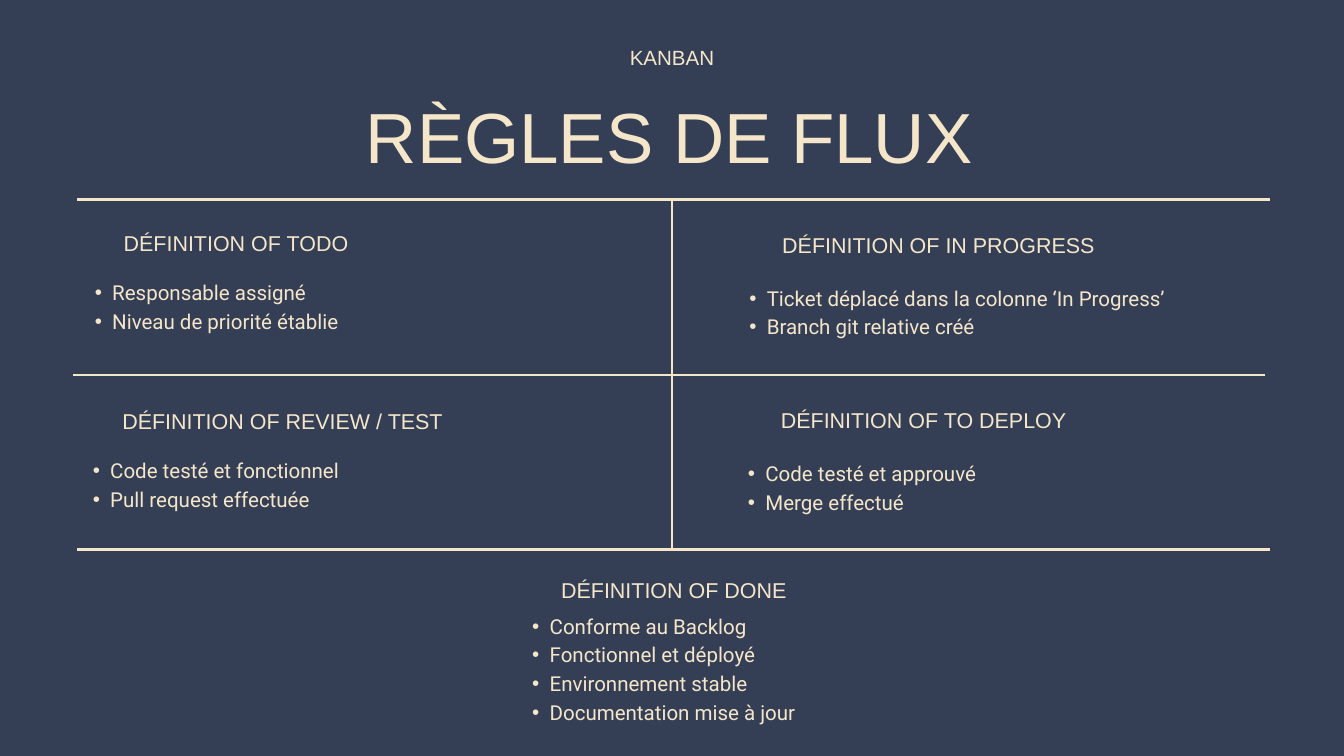
from lxml import etree
from pptx import Presentation
from pptx import util as u
from pptx.dml.color import RGBColor
from pptx.enum import shapes, text
from pptx.oxml import ns

NAVY, CREAM = "343F56", "F5E6CA"

# Heading, its left and top, list left and top, list items
RULES = [
    ("DÉFINITION OF TODO", 1.84, 3.36, 1.15, 4.11,
     ["Responsable assigné", "Niveau de priorité établie"]),
    ("DÉFINITION OF IN PROGRESS", 11.64, 3.39, 10.89, 4.19,
     ["Ticket déplacé dans la colonne ‘In Progress’",
      "Branch git relative créé"]),
    ("DÉFINITION OF REVIEW / TEST", 1.82, 6.01, 1.12, 6.76,
     ["Code testé et fonctionnel", "Pull request effectuée"]),
    ("DÉFINITION OF TO DEPLOY", 11.62, 6, 10.87, 6.8,
     ["Code testé et approuvé", "Merge effectué"]),
    ("DÉFINITION OF DONE", 8.35, 8.53, 7.66, 9.07,
     ["Conforme au Backlog", "Fonctionnel et déployé",
      "Environnement stable", "Documentation mise à jour"]),
]

# Grid lines: start x, y, end x, y
LINES = [
    (1.15, 2.97, 18.9, 2.97),
    (1.08, 5.58, 18.83, 5.58),
    (1.15, 8.18, 18.9, 8.18),
    (10, 2.97, 10, 5.6),
    (10, 5.56, 10, 8.2),
]


def color(code):
    return RGBColor.from_string(code)


def add_box(slide):
    return slide.shapes.add_textbox(0, 0, 0, 0)


def place(box, left, top, width, height):
    box.left, box.top = u.Inches(left), u.Inches(top)
    box.width, box.height = u.Inches(width), u.Inches(height)


def add_bullet(para):
    para.level = 1
    props = para._p.get_or_add_pPr()
    props.set("marL", str(u.Inches(0.52)))
    props.set("indent", str(u.Inches(-0.26)))
    etree.SubElement(props, ns.qn("a:buFont")).set("typeface", "Arial")
    etree.SubElement(props, ns.qn("a:buChar")).set("char", "•")


def write(box, lines, size, face="Arial", align=text.PP_ALIGN.LEFT,
          bullet=False):
    frame = box.text_frame
    frame.text = "\n".join(lines)
    frame.word_wrap = True
    frame.auto_size = text.MSO_AUTO_SIZE.NONE
    frame.vertical_anchor = text.MSO_ANCHOR.TOP
    frame.margin_left = frame.margin_right = 0
    frame.margin_top = frame.margin_bottom = 0
    for para in frame.paragraphs:
        if bullet:
            add_bullet(para)
        para.alignment = align
        para.line_spacing = u.Pt(size * 1.4)
        para.space_before = u.Pt(0)
        for run in para.runs:
            font = run.font
            font.name, font.size, font.bold = face, u.Pt(size), False
            font.color.rgb = color(CREAM)


def add_line(slide, *ends):
    line = slide.shapes.add_connector(
        shapes.MSO_CONNECTOR.STRAIGHT, *[u.Inches(end) for end in ends])
    line.line.color.rgb = color(CREAM)
    line.line.width = u.Pt(3)
    etree.SubElement(line._element.spPr, ns.qn("a:effectLst"))


def add_rule(slide, body, head, left, top, x, y, items):
    box = add_box(slide)
    place(box, left, top, 7.23, 0.46)
    write(box, [head], 23)
    place(body, x, y, 7.98, 0.425 * len(items))
    write(body, items, 22, "Roboto", bullet=True)


def main():
    prs = Presentation()
    prs.slide_width, prs.slide_height = u.Inches(20), u.Inches(11.25)
    # The comparison layout has a title and four bodies
    slide = prs.slides.add_slide(prs.slide_layouts[4])
    slide.background.fill.solid()
    slide.background.fill.fore_color.rgb = color(NAVY)
    title, *bodies = slide.placeholders

    # Title and label above it
    place(title, 2.34, 1.16, 15.24, 1.5)
    write(title, ["RÈGLES DE FLUX"], 76, align=text.PP_ALIGN.CENTER)
    label = add_box(slide)
    place(label, 7.65, 0.61, 4.7, 0.43)
    write(label, ["KANBAN"], 22, align=text.PP_ALIGN.CENTER)

    # Grid
    for ends in LINES:
        add_line(slide, *ends)

    # Definitions: four in the grid, the last one below it
    bodies.append(add_box(slide))
    for body, rule in zip(bodies, RULES):
        add_rule(slide, body, *rule)

    prs.save("out.pptx")


if __name__ == "__main__":
    main()
